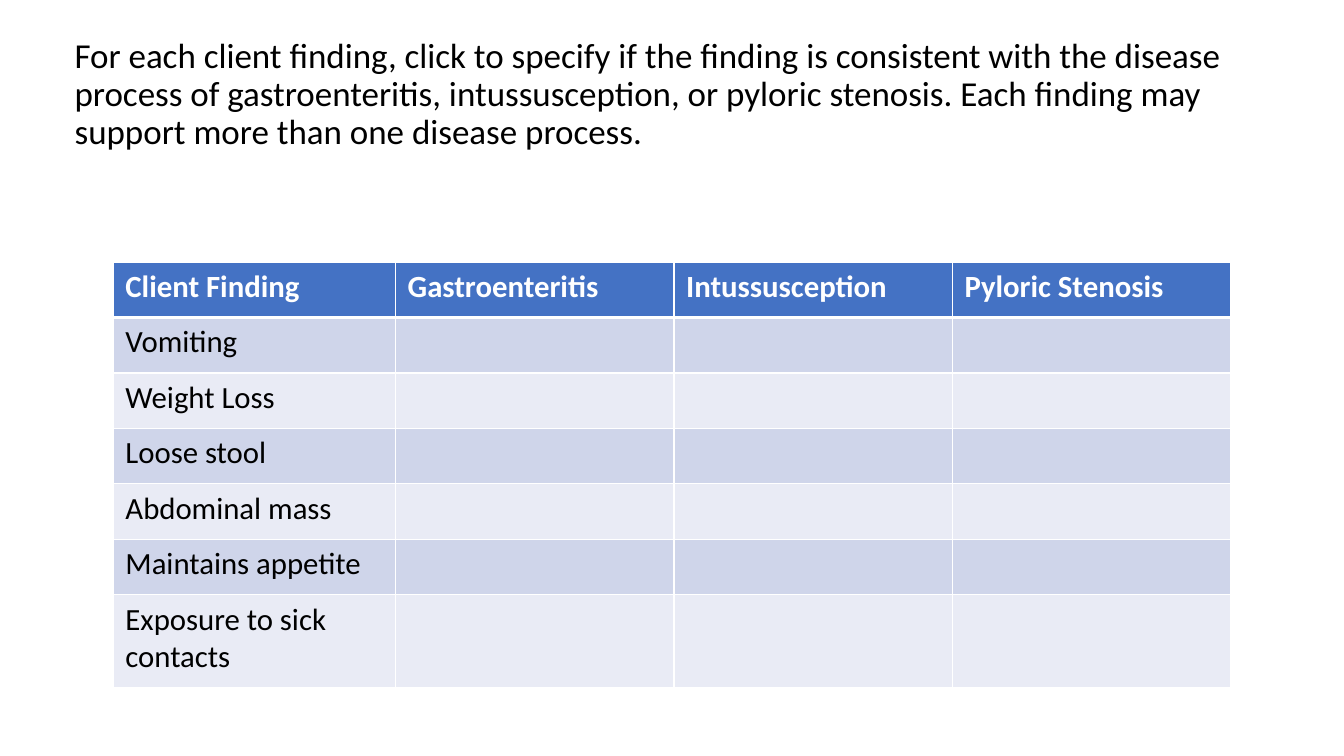
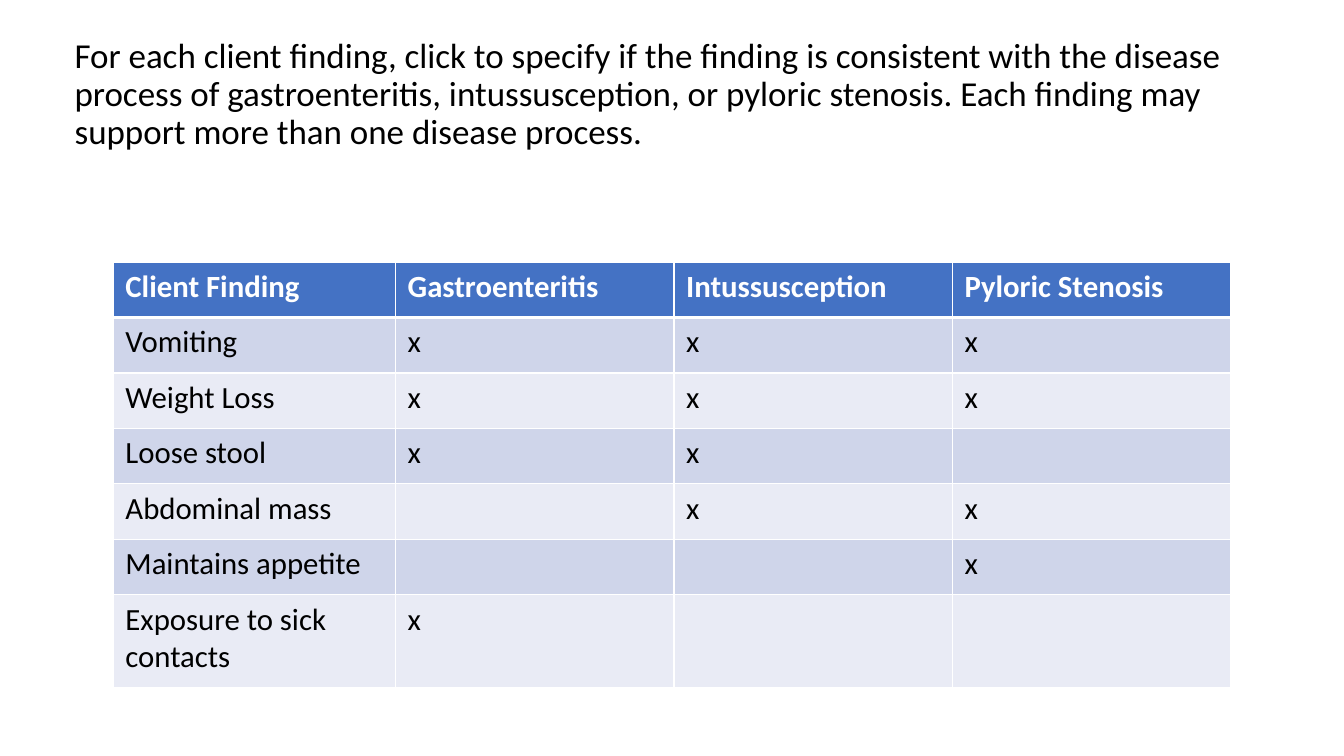
from lxml import etree
from pptx import Presentation
from pptx import util as u
from pptx.dml.color import RGBColor
from pptx.enum import shapes, text
from pptx.oxml import ns

WHITE = RGBColor(0xFF, 0xFF, 0xFF)
BLACK = RGBColor(0x00, 0x00, 0x00)
HEADER_BLUE = RGBColor(0x44, 0x72, 0xC4)
ROW_TINTS = (RGBColor(0xCF, 0xD5, 0xEA), RGBColor(0xE9, 0xEB, 0xF5))
FONT = "Calibri"
SLIDE_WIDTH, SLIDE_HEIGHT = u.Pt(960), u.Pt(540)

QUESTION = (
    "For each client finding, click to specify if the finding is consistent "
    "with the disease process of gastroenteritis, intussusception, or pyloric "
    "stenosis. Each finding may support more than one disease process."
)
HEADINGS = ("Client Finding", "Gastroenteritis", "Intussusception", "Pyloric Stenosis")
ANSWERS = {
    "Vomiting": ("x", "x", "x"),
    "Weight Loss": ("x", "x", "x"),
    "Loose stool": ("x", "x", ""),
    "Abdominal mass": ("", "x", "x"),
    "Maintains appetite": ("", "", "x"),
    "Exposure to sick contacts": ("x", "", ""),
}
COLUMN_WIDTHS = (201.6, 198.9, 198.9, 198.9)
ROW_HEIGHTS = (39.6,) * 6 + (66.3,)


def write(frame, content, size=22, color=BLACK, bold=False, line_spacing=None):
    paragraph = frame.paragraphs[0]
    paragraph.alignment = text.PP_ALIGN.LEFT
    paragraph.line_spacing = line_spacing
    font = paragraph.font
    if content:
        run = paragraph.add_run()
        run.text = content
        font = run.font
    font.name = FONT
    font.size = u.Pt(size)
    font.bold = bold
    font.color.rgb = color


def set_borders(cell, top=1, bottom=1):
    properties = cell._tc.get_or_add_tcPr()
    widths = {"lnL": 1, "lnR": 1, "lnT": top, "lnB": bottom}
    for position, (side, width) in enumerate(widths.items()):
        line = etree.Element(ns.qn(f"a:{side}"), w=str(u.Pt(width)))
        fill = etree.SubElement(line, ns.qn("a:solidFill"))
        etree.SubElement(fill, ns.qn("a:srgbClr"), val=str(WHITE))
        properties.insert(position, line)


def add_band(slide):
    band = slide.shapes.add_shape(
        shapes.MSO_SHAPE.RECTANGLE, 0, 0, SLIDE_WIDTH, u.Pt(134)
    )
    band.shadow.inherit = False
    band.fill.solid()
    band.fill.fore_color.rgb = WHITE
    band.line.fill.background()
    slide.shapes._spTree.insert(2, band._element)


def add_question(slide, width):
    title = slide.shapes.title
    title.left, title.top = u.Pt(46.1), u.Pt(19.4)
    title.width, title.height = u.Pt(width), u.Pt(97.2)
    frame = title.text_frame
    frame.word_wrap = True
    frame.auto_size = text.MSO_AUTO_SIZE.NONE
    frame.vertical_anchor = text.MSO_ANCHOR.MIDDLE
    write(frame, QUESTION, size=25, line_spacing=0.9)


def add_findings(slide, show_answers):
    rows = [HEADINGS]
    for finding, marks in ANSWERS.items():
        rows.append((finding, *(marks if show_answers else ("",) * len(marks))))
    findings = slide.shapes.add_table(
        len(rows), len(HEADINGS), u.Pt(81), u.Pt(187.2),
        u.Pt(sum(COLUMN_WIDTHS)), u.Pt(sum(ROW_HEIGHTS)),
    ).table
    for column, width in zip(findings.columns, COLUMN_WIDTHS):
        column.width = u.Pt(width)
    for index, (row, values) in enumerate(zip(findings.rows, rows)):
        row.height = u.Pt(ROW_HEIGHTS[index])
        is_header = index == 0
        for cell, value in zip(row.cells, values):
            cell.margin_left = cell.margin_right = u.Pt(8.64)
            cell.margin_top = cell.margin_bottom = u.Pt(4.32)
            cell.fill.solid()
            cell.fill.fore_color.rgb = (
                HEADER_BLUE if is_header else ROW_TINTS[(index - 1) % 2]
            )
            set_borders(cell, top=3 if index == 1 else 1, bottom=3 if is_header else 1)
            write(cell.text_frame, value, color=WHITE if is_header else BLACK,
                  bold=is_header)


def add_question_slide(deck, title_width, show_answers):
    slide = deck.slides.add_slide(deck.slide_layouts.get_by_name("Title Only"))
    add_band(slide)
    add_question(slide, title_width)
    add_findings(slide, show_answers)


def main():
    deck = Presentation()
    deck.slide_width, deck.slide_height = SLIDE_WIDTH, SLIDE_HEIGHT
    add_question_slide(deck, title_width=861, show_answers=False)
    add_question_slide(deck, title_width=843, show_answers=True)
    deck.save("out.pptx")


if __name__ == "__main__":
    main()
